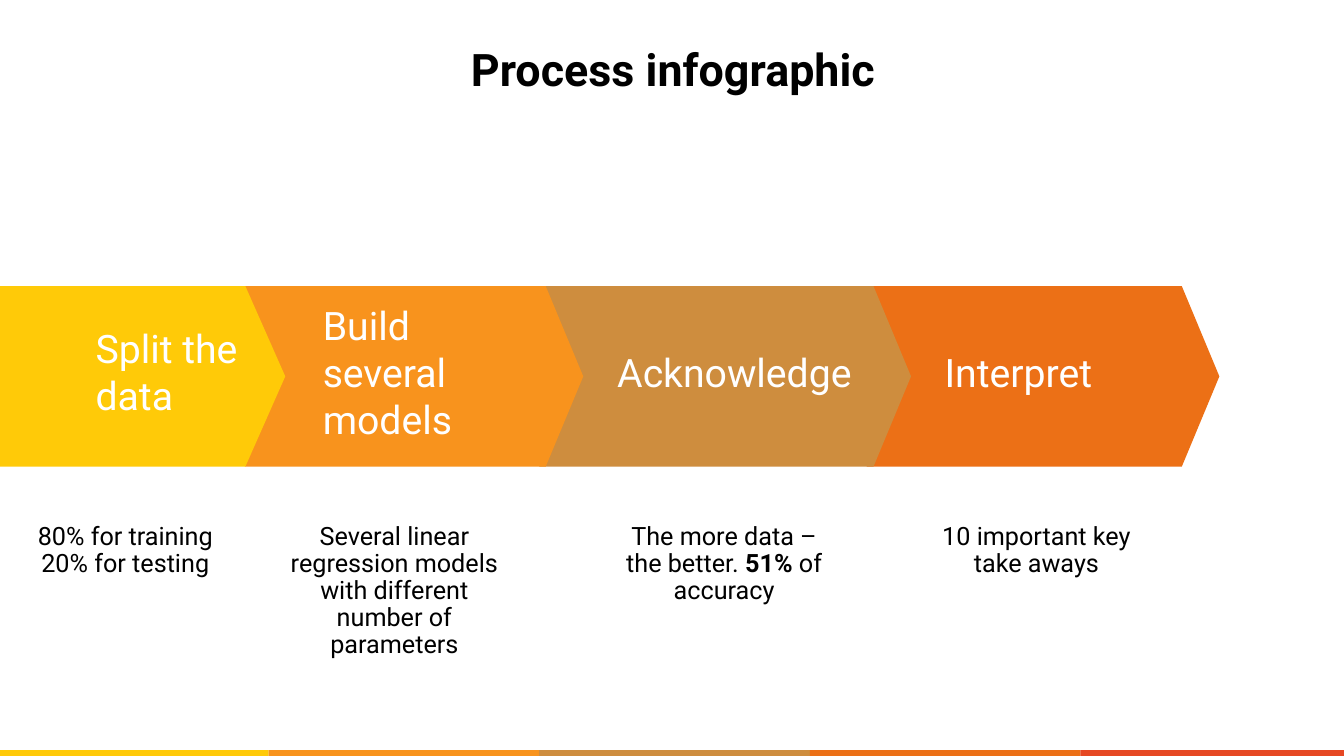
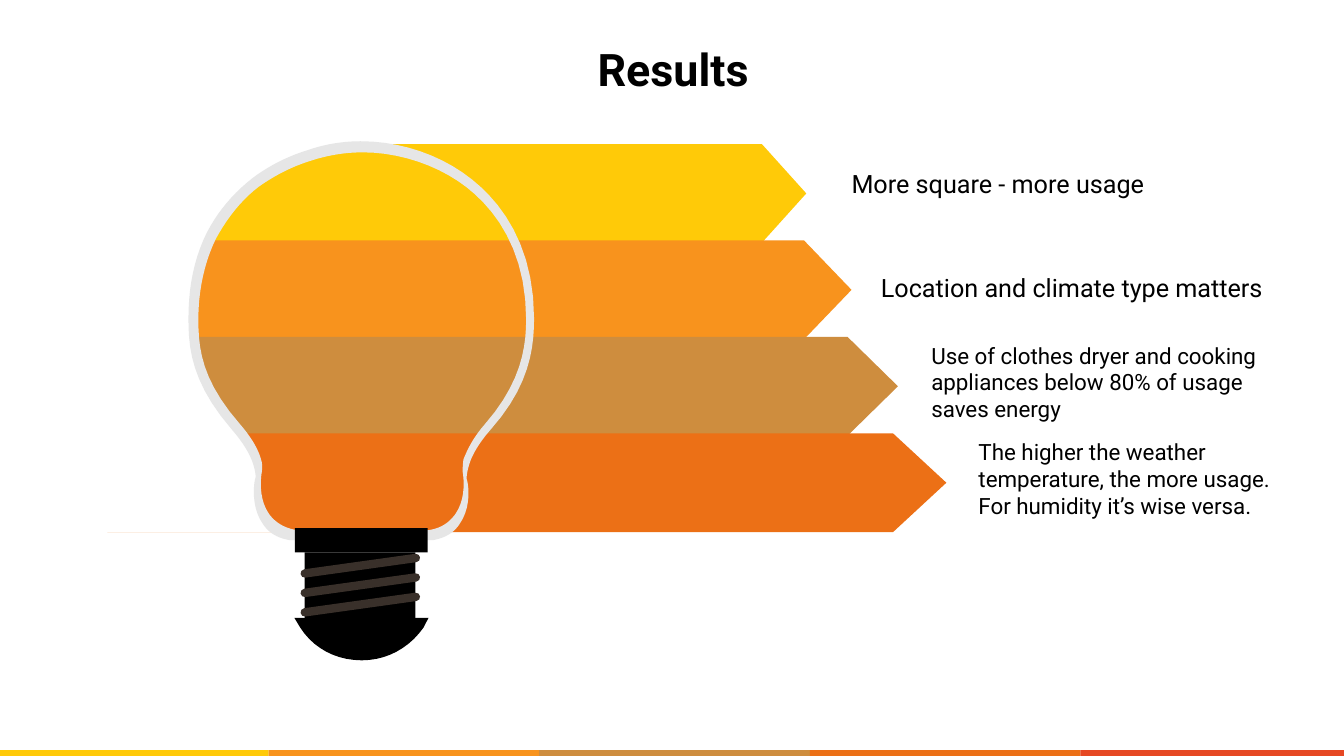
from lxml import etree
from pptx import Presentation
from pptx.dml.color import RGBColor
from pptx.enum.shapes import MSO_CONNECTOR, MSO_SHAPE
from pptx.enum.text import MSO_ANCHOR, MSO_AUTO_SIZE, PP_ALIGN
from pptx.oxml.ns import qn
from pptx.util import Cm, Pt

YELLOW = RGBColor(0xFF, 0xCA, 0x08)
ORANGE = RGBColor(0xF8, 0x93, 0x1D)
TAN = RGBColor(0xCE, 0x8D, 0x3E)
DARK_ORANGE = RGBColor(0xEC, 0x70, 0x16)
RED = RGBColor(0xE6, 0x48, 0x23)
WHITE = RGBColor(0xFF, 0xFF, 0xFF)
BLACK = RGBColor(0x00, 0x00, 0x00)
GLASS = RGBColor(0xE6, 0xE6, 0xE6)
BROWN = RGBColor(0x39, 0x30, 0x2A)
STEP_COLORS = (YELLOW, ORANGE, TAN, DARK_ORANGE)

FONT = "Roboto"
RECTANGLE, CHEVRON, ARROW = MSO_SHAPE.RECTANGLE, MSO_SHAPE.CHEVRON, MSO_SHAPE.PENTAGON
STRAIGHT = MSO_CONNECTOR.STRAIGHT
LEFT, CENTER = PP_ALIGN.LEFT, PP_ALIGN.CENTER
TOP, MIDDLE = MSO_ANCHOR.TOP, MSO_ANCHOR.MIDDLE
NO_FIT, GROW = MSO_AUTO_SIZE.NONE, MSO_AUTO_SIZE.SHAPE_TO_FIT_TEXT
TITLE_ONLY = 5
CURVE_STEPS = 10

SIDES = ("left", "top", "right", "bottom")
DEFAULT_INSETS = (0.25, 0.13, 0.25, 0.13)
CAPTION_INSETS = (0.33, 0.13, 0.33, 0.18)
TITLE_INSETS = (0.61, 0.3, 0.61, 0.3)

# label, left, width, shape, point ratio, left inset
STEPS = (
    ("Split the data", -0.13, 7.32, ARROW, 0.221, 2.54),
    ("Build several models", 6.17, 8.53, CHEVRON, 0.208, 1.02),
    ("Acknowledge", 13.59, 9.37, CHEVRON, 0.208, 1.02),
    ("Interpret", 21.84, 8.89, CHEVRON, 0.208, 1.02),
)
# left, height, paragraphs
CAPTIONS = (
    (0, 1.68, ["80% for training", "20% for testing"]),
    (6.78, 3.73, ["Several linear regression models with different number of parameters"]),
    (15.09, 2.36, [[("The more data – the better. ", False), ("51%", True), (" of accuracy", False)]]),
    (22.96, 1.68, ["10 important key take aways"]),
)
# left, top, width, height, font size, paragraphs
FINDINGS = (
    (21.21, 4.11, 11.07, 1.73, 18, ["More square - more usage"]),
    (21.95, 6.73, 11.07, 1.5, 18, ["Location and climate type matters"]),
    (23.22, 8.48, 9.07, 2.31, 16,
     ["Use of clothes dryer and cooking appliances below 80% of usage saves energy"]),
    (24.41, 10.92, 9.45, 2.31, 16,
     ["The higher the weather temperature, the more usage.", "For humidity it’s wise versa."]),
)
ARROW_TIPS = (20.32, 21.46, 22.63, 23.85)

# Outlines: two numbers are a corner, six are a cubic curve
ARROW_MASK = (
    (0, 3.63), (9.55, 3.63),
    (8.79, 3.76, 8.41, 3.71, 7.26, 4.01),
    (6.2, 4.78, 5.16, 5.31, 4.9, 7.75),
    (4.83, 9.27, 5.28, 9.96, 6.4, 11.51),
    (6.58, 12.19, 6.27, 13.39, 7.34, 13.41),
    (0, 13.41),
)
GLASS_INSIDE = (
    (9.14, 3.84),
    (8.71, 3.84, 8.28, 3.91, 7.87, 4.04),
    (7.37, 4.19, 6.93, 4.42, 6.53, 4.7),
    (6.07, 5.05, 5.72, 5.51, 5.44, 6.02),
    (5.16, 6.6, 5, 7.29, 5, 8.05),
    (5, 8.79, 5.08, 9.58, 6.05, 10.69),
    (6.38, 11.07, 6.53, 11.38, 6.58, 11.58),
    (6.63, 11.73, 6.6, 11.86, 6.6, 11.89),
    (6.58, 11.99, 6.5, 12.55, 6.78, 12.95),
    (6.93, 13.16, 7.16, 13.31, 7.49, 13.36),
    (10.8, 13.36),
    (11.13, 13.31, 11.33, 13.16, 11.48, 12.95),
    (11.76, 12.55, 11.68, 11.99, 11.66, 11.89),
    (11.66, 11.86, 11.66, 11.73, 11.68, 11.58),
    (11.76, 11.38, 11.89, 11.07, 12.22, 10.69),
    (13.13, 9.65, 13.26, 8.76, 13.26, 8.05),
    (13.26, 6.27, 12.45, 5.26, 11.76, 4.72),
    (11.05, 4.17, 10.08, 3.84, 9.14, 3.84),
)
GLASS_OUTSIDE = (
    (9.09, 3.56),
    (10.11, 3.56, 11.13, 3.91, 11.89, 4.52),
    (12.6, 5.08, 13.46, 6.15, 13.46, 8.03),
    (13.46, 8.79, 13.34, 9.73, 12.37, 10.82),
    (12.01, 11.23, 11.86, 11.56, 11.81, 11.76),
    (11.76, 11.94, 11.76, 12.04, 11.76, 12.07),
    (11.81, 12.19, 11.89, 12.78, 11.58, 13.21),
    (11.43, 13.44, 11.2, 13.56, 10.92, 13.61),
    (7.29, 13.61),
    (7.01, 13.56, 6.78, 13.44, 6.63, 13.21),
    (6.32, 12.78, 6.4, 12.19, 6.43, 12.07),
    (6.45, 12.04, 6.45, 11.94, 6.4, 11.76),
    (6.35, 11.56, 6.2, 11.23, 5.84, 10.82),
    (4.83, 9.65, 4.75, 8.79, 4.75, 8.03),
    (4.75, 7.21, 4.9, 6.5, 5.21, 5.87),
    (5.49, 5.33, 5.87, 4.88, 6.35, 4.5),
    (6.76, 4.19, 7.24, 3.94, 7.77, 3.78),
    (8.2, 3.63, 8.66, 3.56, 9.09, 3.56),
)
BULB_TIP = (
    (7.42, 15.57), (10.8, 15.57), (10.67, 15.82),
    (10.31, 16.33, 9.75, 16.64, 9.12, 16.64),
    (8.46, 16.64, 7.9, 16.33, 7.57, 15.82),
)


def paint(shape, color):
    shape.shadow.inherit = False
    shape.fill.solid()
    shape.fill.fore_color.rgb = color
    shape.line.fill.background()


def add_box(slide, kind, left, top, width, height, color):
    shape = slide.shapes.add_shape(kind, Cm(left), Cm(top), Cm(width), Cm(height))
    paint(shape, color)
    return shape


def write(shape, paragraphs, size, color=BLACK, bold=False, align=LEFT, anchor=TOP,
          insets=DEFAULT_INSETS, fit=NO_FIT, spacing=None):
    """Fill a shape; a paragraph is a string or a list of (text, bold) runs."""
    frame = shape.text_frame
    frame.word_wrap = True
    frame.auto_size = fit
    frame.vertical_anchor = anchor
    for side, inset in zip(SIDES, insets):
        setattr(frame, f"margin_{side}", Cm(inset))
    for index, content in enumerate(paragraphs):
        paragraph = frame.add_paragraph() if index else frame.paragraphs[0]
        paragraph.alignment = align
        paragraph.line_spacing = spacing
        runs = [(content, bold)] if isinstance(content, str) else content
        for text, run_bold in runs:
            run = paragraph.add_run()
            run.text = text
            for name, value in {"name": FONT, "size": Pt(size), "bold": run_bold}.items():
                setattr(run.font, name, value)
            run.font.color.rgb = color


def add_text(slide, left, top, width, height, paragraphs, size, **style):
    box = slide.shapes.add_textbox(Cm(left), Cm(top), Cm(width), Cm(height))
    write(box, paragraphs, size, fit=GROW, **style)


def trace(outline):
    """Turn an outline of corners and cubic curves into points."""
    points = [outline[0]]
    for segment in outline[1:]:
        if len(segment) == 2:
            points.append(segment)
            continue
        controls = (points[-1], segment[:2], segment[2:4], segment[4:])
        for step in range(1, CURVE_STEPS + 1):
            t = step / CURVE_STEPS
            weights = ((1 - t) ** 3, 3 * t * (1 - t) ** 2, 3 * t * t * (1 - t), t ** 3)
            points.append(tuple(
                sum(weight * control[axis] for weight, control in zip(weights, controls))
                for axis in (0, 1)))
    return [(Cm(x), Cm(y)) for x, y in points]


def add_outline(slide, color, *outlines):
    """Draw one filled freeform; a second outline cuts a hole in the first."""
    contours = [trace(outline) for outline in outlines]
    builder = slide.shapes.build_freeform(*contours[0][0])
    for index, points in enumerate(contours):
        if index:
            builder.move_to(*points[0])
        builder.add_line_segments(points[1:], close=True)
    paint(builder.convert_to_shape(), color)


def add_round_line(slide, start, end, color, width):
    ends = [Cm(length) for length in (*start, *end)]
    line = slide.shapes.add_connector(STRAIGHT, *ends)
    line.line.color.rgb = color
    line.line.width = Pt(width)
    properties = line.element.spPr
    properties.find(qn("a:ln")).set("cap", "rnd")
    etree.SubElement(properties, qn("a:effectLst"))


def add_title_slide(presentation, title):
    slide = presentation.slides.add_slide(presentation.slide_layouts[TITLE_ONLY])
    place = {"left": 2.36, "top": 1.02, "width": 29.21, "height": 1.42}
    for name, length in place.items():
        setattr(slide.shapes.title, name, Cm(length))
    write(slide.shapes.title, [title], 32, bold=True, align=CENTER, anchor=MIDDLE,
          insets=TITLE_INSETS)
    return slide


def add_footer_bands(slide):
    """Draw the colour bands and move them to the layout that all slides share."""
    layout = slide.slide_layout
    for placeholder in list(layout.placeholders)[1:]:
        layout.shapes.element.remove(placeholder.element)
    for index, color in enumerate((*STEP_COLORS, RED)):
        band = add_box(slide, RECTANGLE, -0.05 + 6.82 * index, 18.9, 6.82, 0.25, color)
        layout.shapes.element.append(band.element)


def add_process(slide):
    for step, color in reversed(list(zip(STEPS, STEP_COLORS))):
        label, left, width, kind, point, inset = step
        shape = add_box(slide, kind, left, 7.21, width, 4.55, color)
        shape.adjustments[0] = point
        write(shape, [label], 28, color=WHITE, anchor=MIDDLE, insets=(inset, 0, 0.25, 0.25))
    for left, height, paragraphs in CAPTIONS:
        add_text(slide, left, 13.08, 6.32, height, paragraphs, 18, align=CENTER,
                 insets=CAPTION_INSETS, spacing=0.89)


def add_result_arrows(slide):
    for row, (tip, color) in enumerate(zip(ARROW_TIPS, STEP_COLORS)):
        left = 3.1 - 0.13 * row
        arrow = add_box(slide, ARROW, left, 3.63 + 2.43 * row, tip - left, 2.49, color)
        arrow.adjustments[0] = 0.45 + 0.03 * row
    add_outline(slide, WHITE, ARROW_MASK)


def add_bulb(slide):
    add_outline(slide, GLASS, GLASS_OUTSIDE, GLASS_INSIDE)
    add_box(slide, RECTANGLE, 7.43, 13.31, 3.35, 0.61, BLACK)
    add_box(slide, RECTANGLE, 7.68, 13.92, 2.79, 1.68, BLACK)
    for thread in range(3):
        drop = 0.49 * thread
        add_round_line(slide, (7.68, 14.45 + drop), (10.48, 14.06 + drop), BROWN, 6)
    add_outline(slide, BLACK, BULB_TIP)


def main():
    presentation = Presentation()
    presentation.slide_width, presentation.slide_height = Cm(33.87), Cm(19.05)

    process = add_title_slide(presentation, "Process infographic")
    add_footer_bands(process)
    add_process(process)

    results = add_title_slide(presentation, "Results")
    add_result_arrows(results)
    add_bulb(results)
    for left, top, width, height, size, paragraphs in FINDINGS:
        add_text(results, left, top, width, height, paragraphs, size)

    presentation.save("out.pptx")


if __name__ == "__main__":
    main()
